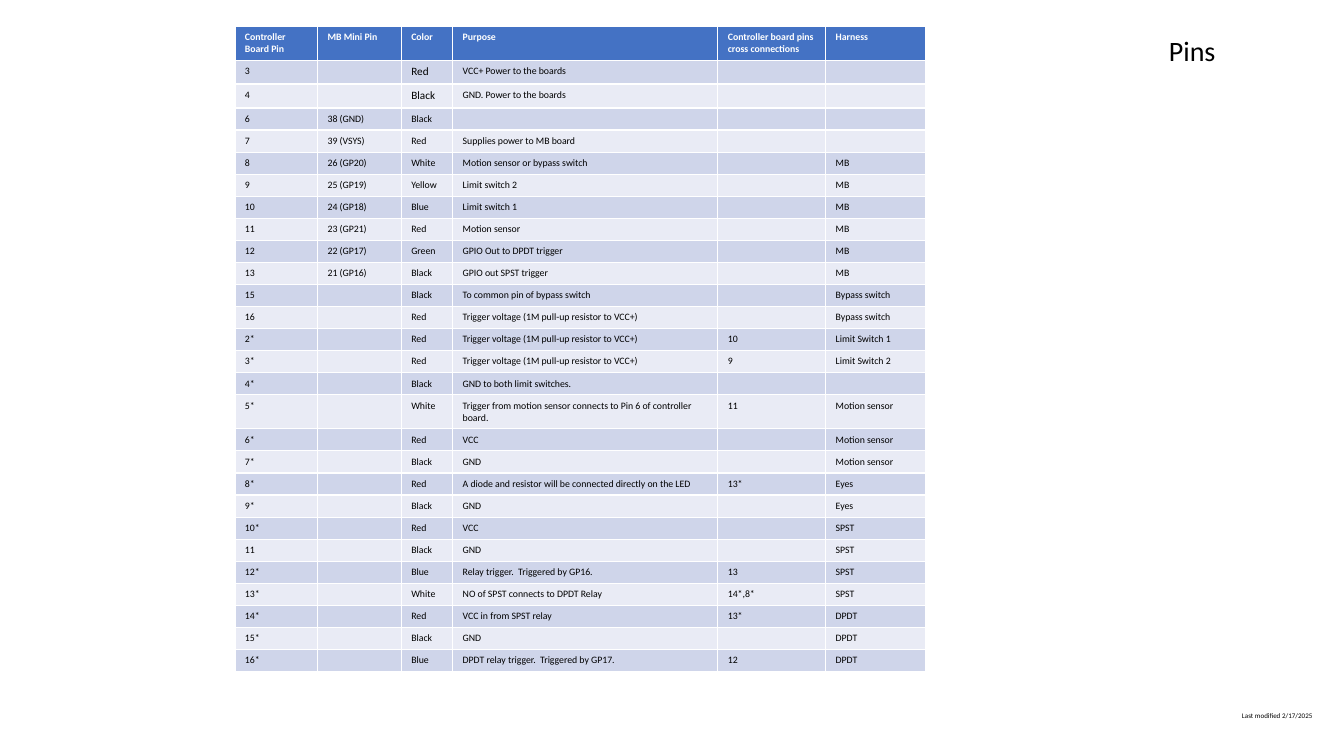
from typing import NamedTuple

from lxml import etree
from pptx import Presentation
from pptx import util as u
from pptx.dml.color import RGBColor
from pptx.enum import text
from pptx.oxml.ns import qn

PX = 9144  # EMU per px, 100 px to the inch
FONT = "Calibri"
BLACK = RGBColor(0x00, 0x00, 0x00)
WHITE = RGBColor(0xFF, 0xFF, 0xFF)
HEADER_BLUE = RGBColor(0x44, 0x72, 0xC4)
BANDS = (RGBColor(0xCF, 0xD5, 0xEA), RGBColor(0xE9, 0xEB, 0xF5))

COLUMN_WIDTHS = (82, 83, 51, 263, 107, 99)
ROW_HEIGHT = 17
BODY_SIZE = 7
HEADERS = ("Controller Board Pin", "MB Mini Pin", "Color", "Purpose",
           "Controller board pins cross connections", "Harness")
TRIGGER_VOLTAGE = "Trigger voltage (1M pull-up resistor to VCC+)"


class Pin(NamedTuple):
    board: str
    color: str
    purpose: str = ""
    harness: str = ""
    mini: str = ""
    cross: str = ""
    color_size: int = BODY_SIZE

    def cells(self) -> tuple[str, ...]:
        return (self.board, self.mini, self.color, self.purpose, self.cross, self.harness)


PINS = (
    Pin("3", "Red", "VCC+ Power to the boards", color_size=8),
    Pin("4", "Black", "GND. Power to the boards", color_size=8),
    Pin("6", "Black", mini="38 (GND)"),
    Pin("7", "Red", "Supplies power to MB board", mini="39 (VSYS)"),
    Pin("8", "White", "Motion sensor or bypass switch", "MB", "26 (GP20)"),
    Pin("9", "Yellow", "Limit switch 2", "MB", "25 (GP19)"),
    Pin("10", "Blue", "Limit switch 1", "MB", "24 (GP18)"),
    Pin("11", "Red", "Motion sensor", "MB", "23 (GP21)"),
    Pin("12", "Green", "GPIO Out to DPDT trigger", "MB", "22 (GP17)"),
    Pin("13", "Black", "GPIO out SPST trigger", "MB", "21 (GP16)"),
    Pin("15", "Black", "To common pin of bypass switch", "Bypass switch"),
    Pin("16", "Red", TRIGGER_VOLTAGE, "Bypass switch"),
    Pin("2*", "Red", TRIGGER_VOLTAGE, "Limit Switch 1", cross="10"),
    Pin("3*", "Red", TRIGGER_VOLTAGE, "Limit Switch 2", cross="9"),
    Pin("4*", "Black", "GND to both limit switches."),
    Pin("5*", "White", "Trigger from motion sensor connects to Pin 6 of controller board.",
        "Motion sensor", cross="11"),
    Pin("6*", "Red", "VCC", "Motion sensor"),
    Pin("7*", "Black", "GND", "Motion sensor"),
    Pin("8*", "Red", "A diode and resistor will be connected directly on the LED",
        "Eyes", cross="13*"),
    Pin("9*", "Black", "GND", "Eyes"),
    Pin("10*", "Red", "VCC", "SPST"),
    Pin("11", "Black", "GND", "SPST"),
    Pin("12*", "Blue", "Relay trigger.  Triggered by GP16.", "SPST", cross="13"),
    Pin("13*", "White", "NO of SPST connects to DPDT Relay", "SPST", cross="14*,8*"),
    Pin("14*", "Red", "VCC in from SPST relay", "DPDT", cross="13*"),
    Pin("15*", "Black", "GND", "DPDT"),
    Pin("16*", "Blue", "DPDT relay trigger.  Triggered by GP17.", "DPDT", cross="12"),
)


def box(left: int, top: int, width: int, height: int) -> tuple[u.Emu, ...]:
    """Turn px lengths into EMU."""
    return tuple(u.Emu(v * PX) for v in (left, top, width, height))


def write(p, words: str, size: int, color: RGBColor = BLACK, bold: bool = False) -> None:
    p.font.name = FONT
    p.font.size = u.Pt(size)
    p.font.bold = bold
    p.font.color.rgb = color
    if words:
        p.add_run().text = words
    else:
        # An empty cell takes its line height from the end mark.
        etree.SubElement(p._p, qn("a:endParaRPr"), sz=str(size * 100))


def fill_cell(cell, words: str, fill: RGBColor, size: int = BODY_SIZE,
              color: RGBColor = BLACK, bold: bool = False) -> None:
    cell.fill.solid()
    cell.fill.fore_color.rgb = fill
    write(cell.text_frame.paragraphs[0], words, size, color, bold)


def add_title(slide) -> None:
    sp = slide.shapes.title
    sp.left, sp.top, sp.width, sp.height = box(1061, 18, 243, 69)
    tf = sp.text_frame
    tf.vertical_anchor = text.MSO_ANCHOR.MIDDLE
    p = tf.paragraphs[0]
    p.alignment = text.PP_ALIGN.CENTER
    p.line_spacing = 0.9
    write(p, "Pins", 20)


def add_pin_table(slide) -> None:
    frame = slide.shapes.add_table(len(PINS) + 1, len(HEADERS), *box(233, 26, 685, 633))
    table = frame.table
    for column, width in zip(table.columns, COLUMN_WIDTHS):
        column.width = u.Emu(width * PX)
    for row in table.rows:
        row.height = u.Emu(ROW_HEIGHT * PX)
    frame.height = u.Emu(633 * PX)

    for c, words in enumerate(HEADERS):
        fill_cell(table.cell(0, c), words, HEADER_BLUE, color=WHITE, bold=True)
    color_column = HEADERS.index("Color")
    for r, pin in enumerate(PINS):
        for c, words in enumerate(pin.cells()):
            size = pin.color_size if c == color_column else BODY_SIZE
            fill_cell(table.cell(r + 1, c), words, BANDS[r % 2], size)


def add_date(slide) -> None:
    tf = slide.shapes.add_textbox(*box(1222, 701, 90, 19)).text_frame
    tf.word_wrap = False
    tf.auto_size = text.MSO_AUTO_SIZE.SHAPE_TO_FIT_TEXT
    write(tf.paragraphs[0], "Last modified 2/17/2025", 5)


def main() -> None:
    prs = Presentation()
    prs.slide_width, prs.slide_height = u.Emu(1333 * PX), u.Emu(750 * PX)
    slide = prs.slides.add_slide(prs.slide_layouts.get_by_name("Title Only"))
    add_title(slide)
    add_pin_table(slide)
    add_date(slide)
    prs.save("out.pptx")


if __name__ == "__main__":
    main()
